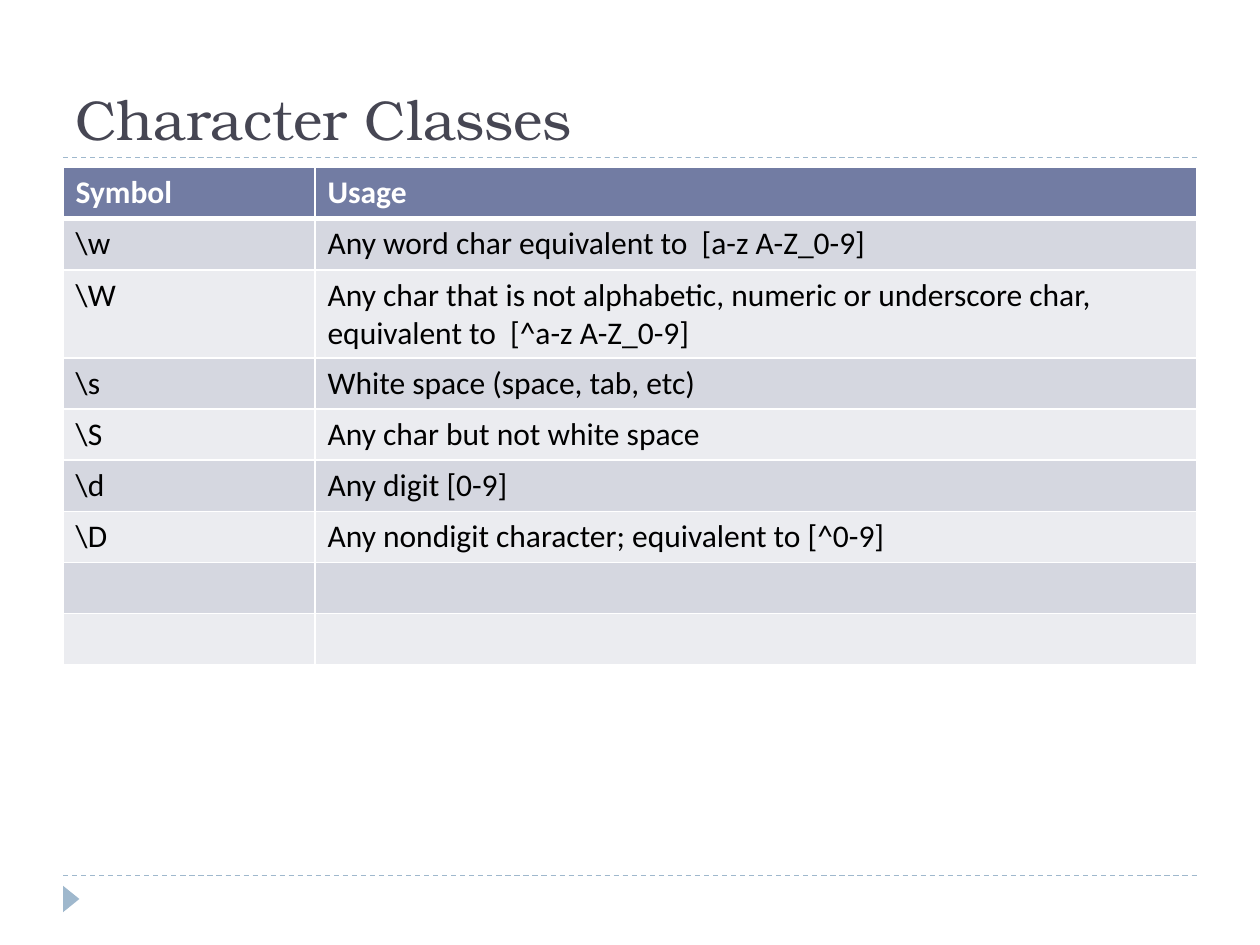
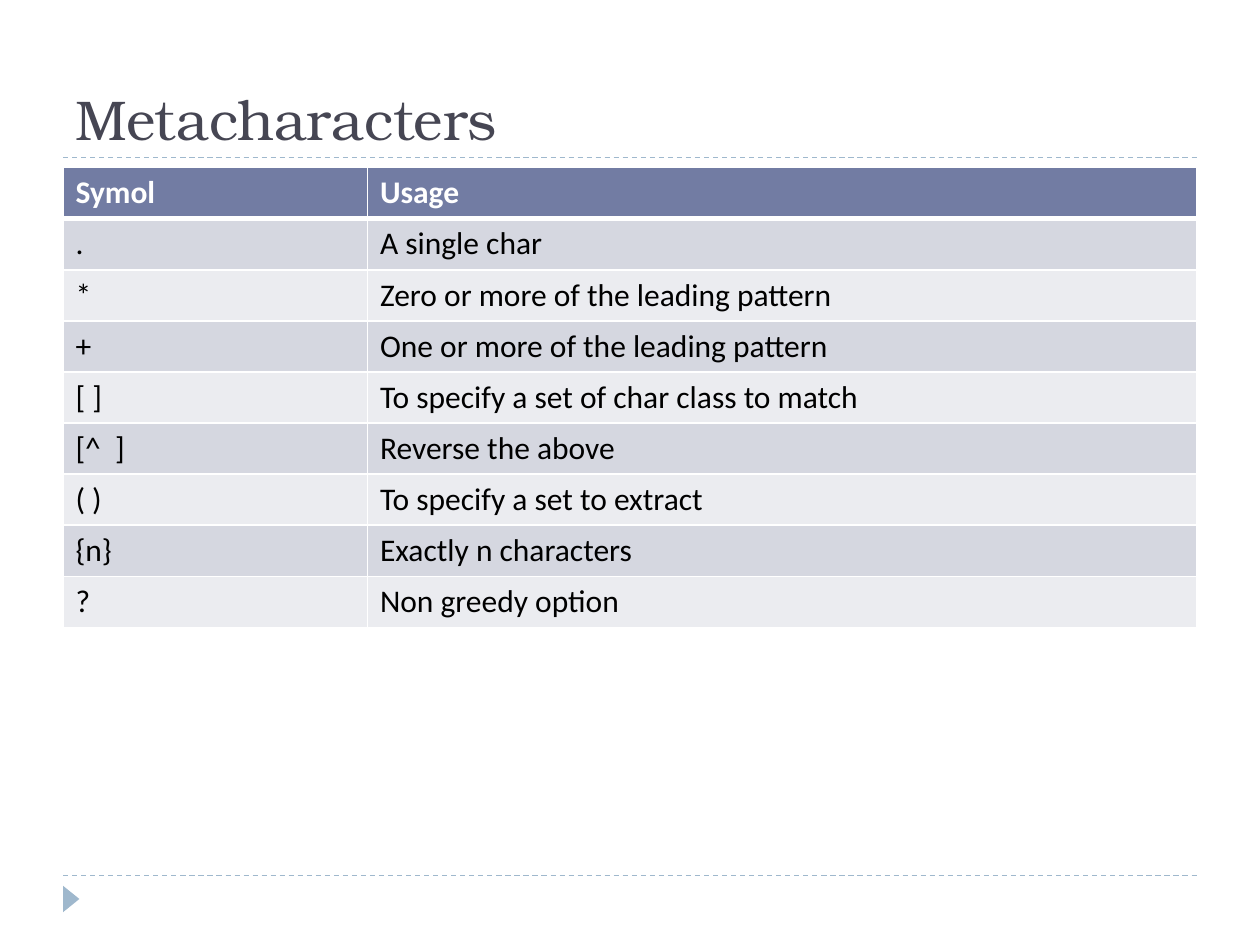
import pptx
import pptx.dml.color
import pptx.enum.dml
import pptx.enum.shapes
import pptx.enum.text
import pptx.oxml
import pptx.oxml.ns
import pptx.util
from lxml import etree

Pt = pptx.util.Pt

COLOURS = {
    "title": "464653",
    "rule": "9FB8CD",
    "header": "727CA3",
    "odd_row": "D5D7E0",
    "even_row": "EBECF0",
    "border": "FFFFFF",
    "header_text": "FFFFFF",
    "body_text": "000000",
}
FORMATS = {
    "title": {"name": "TeX Gyre Bonum", "size": Pt(32), "bold": False},
    "header": {"name": "Calibri", "size": Pt(18), "bold": True},
    "body": {"name": "Calibri", "size": Pt(18), "bold": False},
}
SLIDE_WIDTH, SLIDE_HEIGHT = 720, 540
MARGIN = 36
CONTENT_WIDTH = SLIDE_WIDTH - 2 * MARGIN
TITLE_BOX = (MARGIN, 12.24, CONTENT_WIDTH, 77.76)
FOOTER_BOX = (MARGIN, 500.4, CONTENT_WIDTH, 39.6)
TABLE_TOP = 95.76
ROW_HEIGHT = 29.2

TABLES = [
    ("Character Classes", 144, [
        ("Symbol", "Usage"),
        (r"\w", "Any word char equivalent to  [a-z A-Z_0-9]"),
        (r"\W", "Any char that is not alphabetic, numeric or underscore char, "
                "equivalent to  [^a-z A-Z_0-9]"),
        (r"\s", "White space (space, tab, etc)"),
        (r"\S", "Any char but not white space"),
        (r"\d", "Any digit [0-9]"),
        (r"\D", "Any nondigit character; equivalent to [^0-9]"),
        ("", ""),
        ("", ""),
    ]),
    ("Metacharacters", 174, [
        ("Symol", "Usage"),
        (".", "A single char"),
        ("*", "Zero or more of the leading pattern"),
        ("+", "One or more of the leading pattern"),
        ("[ ]", "To specify a set of char class to match"),
        ("[^  ]", "Reverse the above"),
        ("( )", "To specify a set to extract"),
        ("{n}", "Exactly n characters"),
        ("?", "Non greedy option"),
    ]),
]


def rgb(colour):
    return pptx.dml.color.RGBColor.from_string(COLOURS[colour])


def write(text_frame, text, style, colour):
    paragraph = text_frame.paragraphs[0]
    paragraph.text = text
    for attribute, value in FORMATS[style].items():
        setattr(paragraph.font, attribute, value)
        for run in paragraph.runs:
            setattr(run.font, attribute, value)
    for run in paragraph.runs:
        run.font.color.rgb = rgb(colour)


def add_dashed_rule(slide, left, top, width):
    rule = slide.shapes.add_connector(
        pptx.enum.shapes.MSO_CONNECTOR.STRAIGHT,
        Pt(left), Pt(top), Pt(left + width), Pt(top))
    rule.line.color.rgb = rgb("rule")
    rule.line.width = Pt(0.75)
    rule.line.dash_style = pptx.enum.dml.MSO_LINE.DASH
    etree.SubElement(rule.element.spPr, pptx.oxml.ns.qn("a:effectLst"))


def add_title(slide, box, title):
    left, top, width, height = box
    title_box = slide.shapes.add_textbox(*map(Pt, box))
    title_box.text_frame.word_wrap = True
    title_box.text_frame.vertical_anchor = pptx.enum.text.MSO_ANCHOR.BOTTOM
    write(title_box.text_frame, title, "title", "title")
    add_dashed_rule(slide, left, top + height, width)


def add_footer(slide, box):
    left, top, width, _ = box
    add_dashed_rule(slide, left, top, width)
    marker = slide.shapes.add_shape(
        pptx.enum.shapes.MSO_SHAPE.ISOSCELES_TRIANGLE,
        Pt(left - 2.88), Pt(top + 8.64), Pt(15.12), Pt(9.36))
    marker.rotation = 90
    marker.shadow.inherit = False
    marker.fill.solid()
    marker.fill.fore_color.rgb = rgb("rule")
    marker.line.fill.background()


def set_borders(cell, widths):
    """Draw the left, right, top and bottom borders, in that order."""
    properties = cell._tc.get_or_add_tcPr()
    for side, width in zip("LRTB", widths):
        properties.append(pptx.oxml.parse_xml(
            f'<a:ln{side} {pptx.oxml.ns.nsdecls("a")} w="{Pt(width)}">'
            f'<a:solidFill><a:srgbClr val="{COLOURS["border"]}"/></a:solidFill>'
            f'</a:ln{side}>'))


def add_symbol_table(slide, box, symbol_width, rows):
    left, top, width = box
    table = slide.shapes.add_table(
        len(rows), 2, Pt(left), Pt(top), Pt(width),
        Pt(ROW_HEIGHT * len(rows))).table
    for column, column_width in zip(table.columns, (symbol_width, width - symbol_width)):
        column.width = Pt(column_width)
    for index, texts in enumerate(rows):
        table.rows[index].height = Pt(ROW_HEIGHT)
        if index == 0:
            style, fill, borders = "header", "header", (1, 1, 1, 3)
        else:
            style = "body"
            fill = "odd_row" if index % 2 else "even_row"
            borders = (1, 1, 3 if index == 1 else 1, 1)
        for cell, text in zip(table.rows[index].cells, texts):
            set_borders(cell, borders)
            cell.fill.solid()
            cell.fill.fore_color.rgb = rgb(fill)
            write(cell.text_frame, text, style, style + "_text")


def add_symbol_slide(presentation, title, symbol_width, rows):
    slide = presentation.slides.add_slide(presentation.slide_layouts[6])
    add_footer(slide, FOOTER_BOX)
    add_title(slide, TITLE_BOX, title)
    add_symbol_table(slide, (MARGIN, TABLE_TOP, CONTENT_WIDTH), symbol_width, rows)


def main():
    presentation = pptx.Presentation()
    presentation.slide_width = Pt(SLIDE_WIDTH)
    presentation.slide_height = Pt(SLIDE_HEIGHT)
    for title, symbol_width, rows in TABLES:
        add_symbol_slide(presentation, title, symbol_width, rows)
    presentation.save("out.pptx")


if __name__ == "__main__":
    main()
